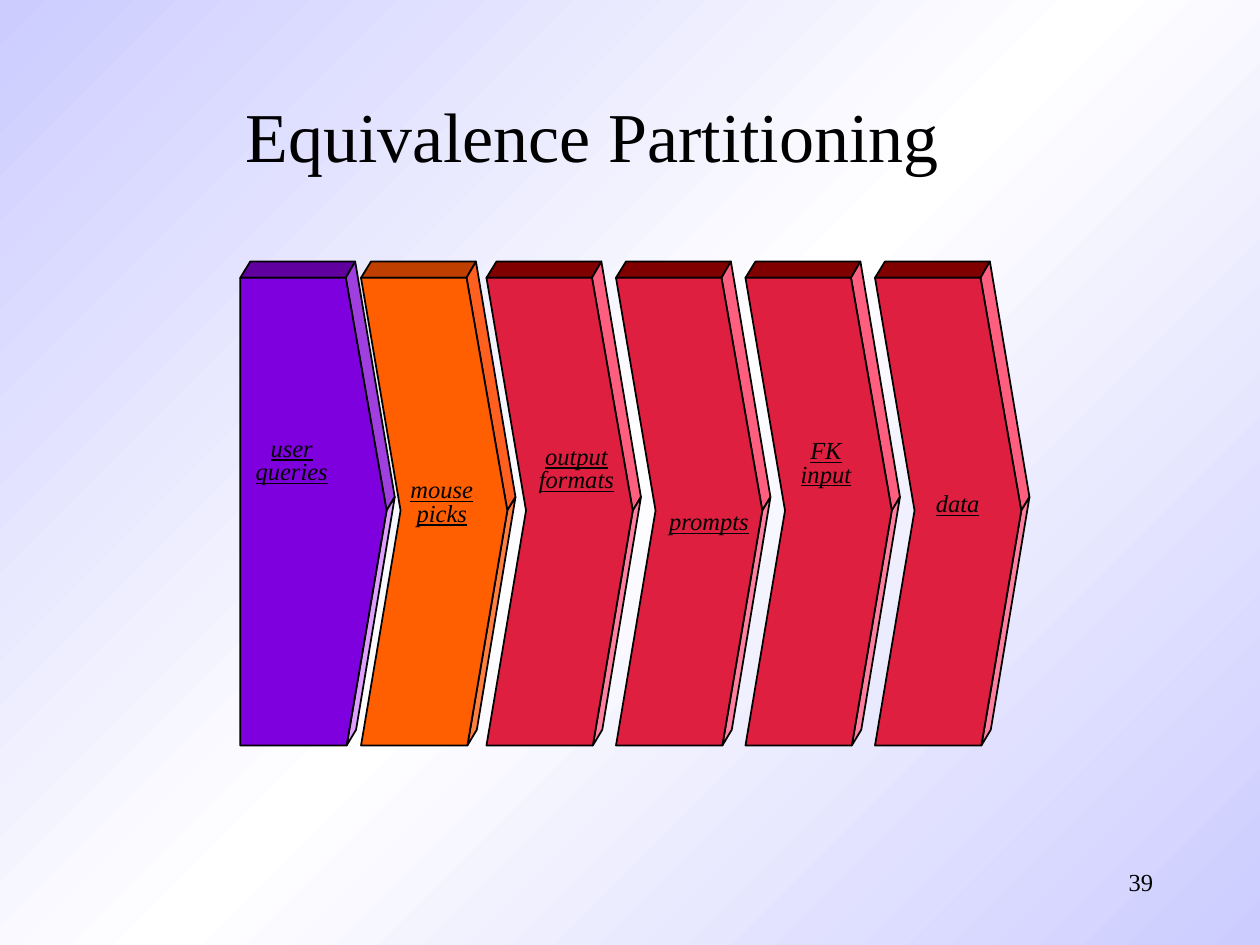
import copy
from dataclasses import dataclass

import pptx
import pptx.dml.color
import pptx.enum.text
import pptx.oxml.ns
import pptx.util

Pt = pptx.util.Pt
Align = pptx.enum.text.PP_ALIGN
Anchor = pptx.enum.text.MSO_ANCHOR
AutoSize = pptx.enum.text.MSO_AUTO_SIZE


@dataclass(frozen=True)
class Theme:
    font: str = "Times New Roman"
    ink: str = "000000"
    edge: str = "CCCCFF"
    middle: str = "FFFFFF"
    title_size: float = 40
    body_size: float = 14
    outline: float = 1
    purple: tuple = ("5F009F", "9F3FDF", "DF9FFF", "7F00DF")
    orange: tuple = ("BF3F00", "FF5F1F", "FF7F3F", "FF5F00")
    red: tuple = ("800000", "FF5F7F", "FF7F9F", "DF1F3F")


THEME = Theme()


def rgb(value):
    return pptx.dml.color.RGBColor.from_string(value)


def write(frame, text, size=THEME.body_size, align=Align.CENTER, anchor=Anchor.TOP,
          emphasis=False, spacing=1.0, wrap=True, fit=AutoSize.NONE):
    frame.text = text
    frame.word_wrap = wrap
    frame.auto_size = fit
    frame.vertical_anchor = anchor
    for paragraph in frame.paragraphs:
        paragraph.alignment = align
        paragraph.line_spacing = spacing
        for run in paragraph.runs:
            run.font.name = THEME.font
            run.font.size = Pt(size)
            run.font.color.rgb = rgb(THEME.ink)
            run.font.italic = emphasis
            run.font.underline = emphasis


class Deck:
    def __init__(self, theme):
        self.theme = theme
        self.file = pptx.Presentation()
        self.file.slide_width, self.file.slide_height = Pt(720), Pt(540)
        self.slide = self.file.slides.add_slide(self.file.slide_layouts[5])

    def background(self):
        fill = self.slide.background.fill
        fill.gradient()
        fill.gradient_angle = 315
        for stop, color in zip(fill.gradient_stops, (self.theme.edge, self.theme.middle)):
            stop.color.rgb = rgb(color)
        stops = self.slide.element.find(".//" + pptx.oxml.ns.qn("a:gsLst"))
        stops.append(copy.deepcopy(stops[0]))
        for stop, position in zip(stops, (0, 50000, 100000)):
            stop.set("pos", str(position))

    def title(self, text, left, top, width, height):
        heading = self.slide.shapes.title
        heading.left, heading.top = Pt(left), Pt(top)
        heading.width, heading.height = Pt(width), Pt(height)
        write(heading.text_frame, text, size=self.theme.title_size, anchor=Anchor.MIDDLE)

    def text(self, text, left, top, width, height, **style):
        box = self.slide.shapes.add_textbox(Pt(left), Pt(top), Pt(width), Pt(height))
        write(box.text_frame, text, **style)

    def face(self, group, points, color):
        start, *rest = [(Pt(x), Pt(y)) for x, y in points]
        builder = group.shapes.build_freeform(*start)
        builder.add_line_segments(rest, close=True)
        face = builder.convert_to_shape()
        face.shadow.inherit = False
        face.fill.solid()
        face.fill.fore_color.rgb = rgb(color)
        face.line.color.rgb = rgb(self.theme.ink)
        face.line.width = Pt(self.theme.outline)

    def chevron(self, left, colors, notch):
        back_top, top, back_middle, middle, back_bottom, bottom = 149.5, 158.8, 284, 291.8, 417, 426
        right, tip, back_right, back_tip = left + 60.3, left + 83.6, left + 65.7, left + 88.3
        faces = (
            [(right, top), (left, top), (left + 5.7, back_top), (back_right, back_top)],
            [(back_right, back_top), (right, top), (tip, middle), (back_tip, back_middle)],
            [(back_tip, back_middle), (tip, middle), (right + 0.5, bottom), (back_right + 0.5, back_bottom)],
            [(right, top), (left, top), (left + notch, middle), (left, bottom),
             (right + 0.5, bottom), (tip, middle)],
        )
        group = self.slide.shapes.add_group_shape()
        for points, color in zip(faces, colors):
            self.face(group, points, color)


deck = Deck(THEME)
deck.background()
deck.text("39", 516.25, 491.75, 149.75, 36, align=Align.RIGHT)
deck.title("Equivalence Partitioning", 39.6, 54, 597.6, 45.4)

TWO_LINES, ONE_LINE = 33.8, 20.2
partitions = (
    (137.3, THEME.purple, 0, "user\nqueries", 138.2, 247, 57, TWO_LINES),
    (206.3, THEME.orange, 22.6, "mouse\npicks", 227.1, 270.7, 50.8, TWO_LINES),
    (278, THEME.red, 22.6, "output\nformats", 300.2, 251.5, 58.5, TWO_LINES),
    (352, THEME.red, 22.6, "prompts", 374.6, 288.8, 61, ONE_LINE),
    (426, THEME.red, 22.6, "FK\ninput", 450.2, 248.3, 43.6, TWO_LINES),
    (500, THEME.red, 22.6, "data", 527.3, 278.6, 40, ONE_LINE),
)
for left, colors, notch, *_ in partitions:
    deck.chevron(left, colors, notch)
for _, _, _, label, *place in partitions:
    deck.text(label, *place, emphasis=True, spacing=0.8, wrap=False, fit=AutoSize.SHAPE_TO_FIT_TEXT)

deck.file.save("out.pptx")
